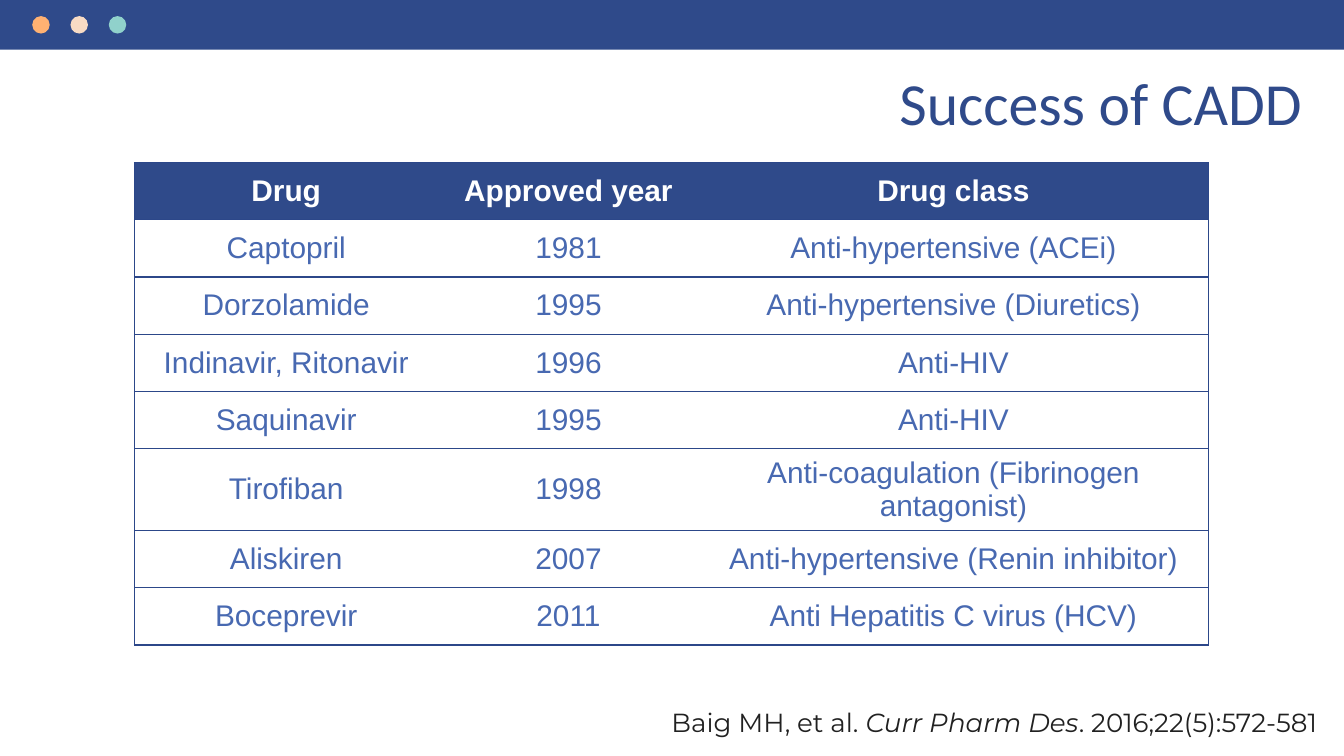
from pptx import Presentation
from pptx.dml.color import RGBColor
from pptx.enum.shapes import MSO_SHAPE
from pptx.enum.text import MSO_ANCHOR, PP_ALIGN
from pptx.oxml import parse_xml
from pptx.oxml.ns import nsdecls
from pptx.util import Inches, Pt

NAVY = RGBColor(0x2F, 0x4A, 0x8A)
RULE = RGBColor(0x2C, 0x47, 0x89)
BLUE = RGBColor(0x48, 0x69, 0xB1)
WHITE = RGBColor(0xFF, 0xFF, 0xFF)
INK = RGBColor(0x21, 0x21, 0x21)
ORANGE = RGBColor(0xFF, 0xB1, 0x72)
CREAM = RGBColor(0xF8, 0xDB, 0xC4)
TEAL = RGBColor(0x90, 0xD1, 0xCB)

ROWS = [
    ("Drug", "Approved year", "Drug class"),
    ("Captopril", "1981", "Anti-hypertensive (ACEi)"),
    ("Dorzolamide", "1995", "Anti-hypertensive (Diuretics)"),
    ("Indinavir, Ritonavir", "1996", "Anti-HIV"),
    ("Saquinavir", "1995", "Anti-HIV"),
    ("Tirofiban", "1998", "Anti-coagulation (Fibrinogen antagonist)"),
    ("Aliskiren", "2007", "Anti-hypertensive (Renin inhibitor)"),
    ("Boceprevir", "2011", "Anti Hepatitis C virus (HCV)"),
]
WIDTHS = [2.26, 1.94, 3.79]
LOW, TALL = 2.98 / 7, 0.61
HEIGHTS = [LOW] * 5 + [TALL] + [LOW] * 2


def add_shape(kind, left, top, width, height, color):
    shape = slide.shapes.add_shape(
        kind, Inches(left), Inches(top), Inches(width), Inches(height))
    shape.shadow.inherit = False
    shape.fill.solid()
    shape.fill.fore_color.rgb = color
    shape.line.fill.background()


def set_borders(cell, sides):
    props = cell._tc.get_or_add_tcPr()
    for i, side in enumerate("LRTB"):
        paint = "<a:noFill/>"
        if side in sides:
            paint = f'<a:solidFill><a:srgbClr val="{RULE}"/></a:solidFill>'
        props.insert(i, parse_xml(
            f'<a:ln{side} {nsdecls("a")} w="{Pt(0.75)}">{paint}</a:ln{side}>'))


prs = Presentation()
prs.slide_width = Inches(10)
prs.slide_height = prs.slide_width * 9 // 16
slide = prs.slides.add_slide(prs.slide_layouts[5])

add_shape(MSO_SHAPE.RECTANGLE, 0, 0, 10, 0.37, NAVY)
for i, color in enumerate([ORANGE, CREAM, TEAL]):
    add_shape(MSO_SHAPE.OVAL, 0.24 + 0.57 * i / 2, 0.12, 0.13, 0.13, color)

title = slide.shapes.title
title.left, title.top = Inches(1.35), Inches(0.5)
title.width, title.height = Inches(8.44), Inches(0.51)
frame = title.text_frame
frame.text = "Success of CADD"
frame.vertical_anchor = MSO_ANCHOR.MIDDLE
frame.margin_left = frame.margin_right = Inches(0.1)
frame.margin_top = frame.margin_bottom = Inches(0.1)
para = frame.paragraphs[0]
para.alignment = PP_ALIGN.RIGHT
para.font.name = "Calibri"
para.font.size = Pt(32)
para.font.color.rgb = NAVY

table = slide.shapes.add_table(
    len(ROWS), len(WIDTHS), Inches(1), Inches(1.21),
    Inches(sum(WIDTHS)), Inches(sum(HEIGHTS))).table
table.horz_banding = False
for col, width in zip(table.columns, WIDTHS):
    col.width = Inches(width)
for r, (row, height) in enumerate(zip(ROWS, HEIGHTS)):
    table.rows[r].height = Inches(height)
    for c, text in enumerate(row):
        cell = table.cell(r, c)
        cell.text = text
        cell.vertical_anchor = MSO_ANCHOR.MIDDLE
        if r == 0:
            cell.fill.solid()
            cell.fill.fore_color.rgb = NAVY
        else:
            cell.fill.background()
        set_borders(cell, ("LTB", "TB", "RTB")[c])
        para = cell.text_frame.paragraphs[0]
        para.alignment = PP_ALIGN.CENTER
        para.font.name = "Arial"
        para.font.size = Pt(16)
        para.font.bold = r == 0
        para.font.color.rgb = WHITE if r == 0 else BLUE

cite = slide.shapes.add_textbox(
    Inches(4.82), Inches(5.21), Inches(5.08), Inches(0.34))
cite.text_frame.word_wrap = True
para = cite.text_frame.paragraphs[0]
para.alignment = PP_ALIGN.RIGHT
for text, slant in [("Baig MH, et al. ", False), ("Curr Pharm Des", True),
                    (". 2016;22(5):572-581", False)]:
    run = para.add_run()
    run.text = text
    run.font.italic = slant
para.font.name = "Montserrat"
para.font.size = Pt(14)
para.font.color.rgb = INK

prs.save("out.pptx")
